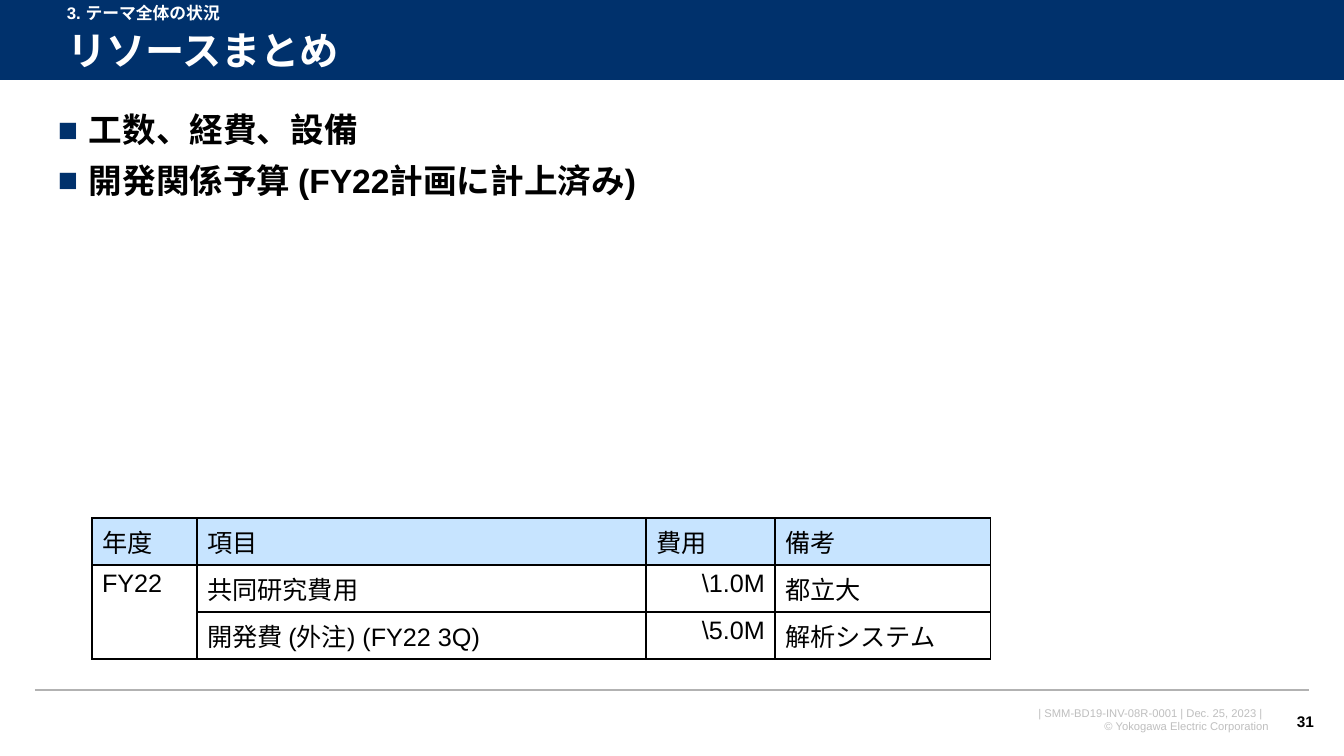
"""Build the resource summary slide with its budget table."""
import pptx
import pptx.util
import pptx.dml.color
import pptx.enum.shapes
import pptx.enum.text
import pptx.oxml
import pptx.oxml.ns
from lxml import etree

RGB = pptx.dml.color.RGBColor
NAVY = RGB(0x00, 0x31, 0x6C)
WHITE = RGB(0xFF, 0xFF, 0xFF)
BLACK = RGB(0x00, 0x00, 0x00)
GRAY = RGB(0xB2, 0xB2, 0xB2)
PALE = RGB(0xBF, 0xBF, 0xBF)
SKY = RGB(0xC7, 0xE4, 0xFF)
PX = 914400 / 100.8
NS = pptx.oxml.ns.nsdecls("a")
qn = pptx.oxml.ns.qn
ALIGN = pptx.enum.text.PP_ALIGN
ANCHOR = pptx.enum.text.MSO_ANCHOR


def scale(*sizes):
    return [round(size * PX) for size in sizes]


def write(frame, lines, size, color, bold=False, align=ALIGN.LEFT, space=None, bullet=False):
    for i, line in enumerate(lines):
        para = frame.paragraphs[0] if i == 0 else frame.add_paragraph()
        para.alignment = align
        para.line_spacing = space
        if i and bullet:
            para.space_before = pptx.util.Pt(10)
        if bullet:
            props = para._p.get_or_add_pPr()
            props.set("marL", str(scale(31)[0]))
            props.set("indent", str(scale(-31)[0]))
            for xml in (f'<a:buClr {NS}><a:srgbClr val="{NAVY}"/></a:buClr>',
                        f'<a:buFont {NS} typeface="Arial"/>',
                        f'<a:buChar {NS} char="■"/>'):
                props.append(pptx.oxml.parse_xml(xml))
        run = para.add_run()
        run.text = line
        look = {"name": "Arial", "size": pptx.util.Pt(size), "bold": bold}
        for key, value in look.items():
            setattr(run.font, key, value)
        run.font.color.rgb = color


deck = pptx.Presentation()
deck.slide_width, deck.slide_height = scale(1344, 756)
slide = deck.slides.add_slide(deck.slide_layouts[5])
shapes = slide.shapes

band = shapes.add_shape(pptx.enum.shapes.MSO_SHAPE.RECTANGLE, *scale(0, 0, 1344, 81))
band.shadow.inherit = False
band.fill.solid()
band.fill.fore_color.rgb = NAVY
band.line.fill.background()

for left, right, y, color, width in ((0, 1344, 81, WHITE, 0.75), (35, 1309, 690, GRAY, 1)):
    rule = shapes.add_connector(pptx.enum.shapes.MSO_CONNECTOR.STRAIGHT, *scale(left, y, right, y))
    rule.line.color.rgb = color
    rule.line.width = pptx.util.Pt(width)
    etree.SubElement(rule._element.spPr, qn("a:effectLst"))

title = shapes.title
shapes._spTree.append(title._element)
for key, value in zip(("left", "top", "width", "height"), scale(57, 24, 1257, 57)):
    setattr(title, key, value)
title.text_frame.auto_size = pptx.enum.text.MSO_AUTO_SIZE.NONE
title.text_frame.vertical_anchor = ANCHOR.MIDDLE
write(title.text_frame, ["リソースまとめ"], 28, WHITE, True, space=0.9)

TEXTS = (
    ((57, 0, 793, 28), ["3. テーマ全体の状況"], ANCHOR.TOP,
     {"size": 12, "color": WHITE, "bold": True, "space": 0.9}),
    ((48, 109, 1247, 130), ["工数、経費、設備", "開発関係予算 (FY22計画に計上済み)"], ANCHOR.TOP,
     {"size": 24, "color": BLACK, "bold": True, "space": 0.9, "bullet": True}),
    ((956, 701, 323, 37),
     ["| SMM-BD19-INV-08R-0001 | Dec. 25, 2023 |  ", "© Yokogawa Electric Corporation"], ANCHOR.TOP,
     {"size": 8, "color": PALE, "align": ALIGN.RIGHT}),
    ((1280, 701, 44, 40), ["31"], ANCHOR.MIDDLE,
     {"size": 11, "color": BLACK, "bold": True, "align": ALIGN.RIGHT}),
)
for place, lines, anchor, look in TEXTS:
    frame = shapes.add_textbox(*scale(*place)).text_frame
    frame.word_wrap = True
    frame.vertical_anchor = anchor
    write(frame, lines, **look)

ROWS = (
    ("年度", "項目", "費用", "備考"),
    ("FY22", "共同研究費用", "\\1.0M", "都立大"),
    ("", "開発費 (外注) (FY22 3Q)", "\\5.0M", "解析システム"),
)
COLS = (105, 449, 129, 216)
table = shapes.add_table(len(ROWS), len(COLS), *scale(92, 518, sum(COLS), 141)).table
table.first_row = table.horz_banding = False
for col, width in zip(table.columns, scale(*COLS)):
    col.width = width
for r, row in enumerate(ROWS):
    for c, text in enumerate(row):
        cell = table.cell(r, c)
        if text:
            align = ALIGN.RIGHT if r and c == 2 else ALIGN.LEFT
            write(cell.text_frame, [text], 18, BLACK, align=align)
        props = cell._tc.get_or_add_tcPr()
        for side in ("lnL", "lnR", "lnT", "lnB"):
            props.append(pptx.oxml.parse_xml(
                f'<a:{side} {NS} w="12700"><a:solidFill><a:srgbClr val="{BLACK}"/>'
                f'</a:solidFill></a:{side}>'))
        if r == 0:
            cell.fill.solid()
            cell.fill.fore_color.rgb = SKY
        else:
            cell.fill.background()
table.cell(1, 0).merge(table.cell(2, 0))

deck.save("out.pptx")
